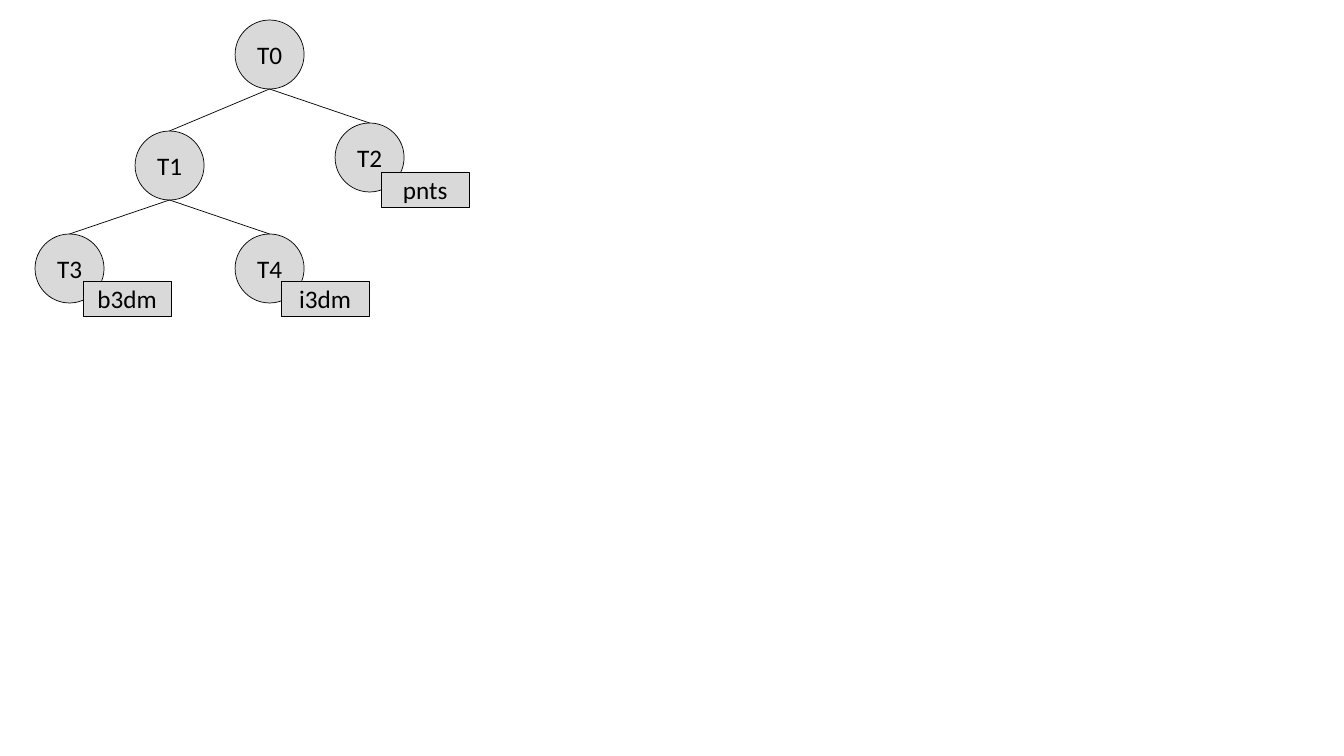
"""Build a slide with a tile tree whose leaves carry content format tags."""
from pptx import Presentation
from pptx import util as u
from pptx.dml.color import RGBColor
from pptx.enum import shapes, text
from pptx.oxml import xmlchemy

BLACK = RGBColor(0, 0, 0)
GRAY = RGBColor(0xD9, 0xD9, 0xD9)
FONT = "Calibri"
SCALE = u.Inches(1) / 100.8

TILES = {"T0": (2, 20), "T1": (1, 131), "T2": (3, 123), "T3": (0, 234), "T4": (2, 234)}
TAGS = {"b3dm": (83, 281), "i3dm": (281, 281), "pnts": (381, 172)}
BRANCHES = [("T0", "T1"), ("T0", "T2"), ("T1", "T3"), ("T1", "T4")]
LEFT, COLUMN_STEP, DIAMETER = 35, 100, 69
TAG_WIDTH, TAG_HEIGHT = 88, 35


def px(length):
    return u.Emu(round(length * SCALE))


def set_line(item):
    item.line.color.rgb = BLACK
    item.line.width = u.Pt(0.5)


def add_label(page, label, *, kind, left, top, width, height, size=18, color=BLACK):
    box = page.shapes.add_shape(kind, px(left), px(top), px(width), px(height))
    box.shadow.inherit = False
    box.fill.solid()
    box.fill.fore_color.rgb = GRAY
    set_line(box)
    frame = box.text_frame
    frame.word_wrap = False
    frame.margin_left = frame.margin_right = frame.margin_top = frame.margin_bottom = 0
    frame.vertical_anchor = text.MSO_ANCHOR.MIDDLE
    para = frame.paragraphs[0]
    para.alignment = text.PP_ALIGN.CENTER
    span = para.add_run()
    span.text = label
    span.font.name, span.font.size, span.font.color.rgb = FONT, u.Pt(size), color
    return box


def add_branch(page, parent, child):
    branch = page.shapes.add_connector(
        shapes.MSO_CONNECTOR.STRAIGHT,
        parent.left + parent.width // 2, parent.top + parent.height,
        child.left + child.width // 2, child.top)
    set_line(branch)
    properties = branch._element.spPr
    properties.append(xmlchemy.OxmlElement("a:effectLst"))


deck = Presentation()
deck.slide_width, deck.slide_height = u.Inches(13.33), u.Inches(7.5)
page = deck.slides.add_slide(deck.slide_layouts[6])

tiles = {
    name: add_label(page, name, kind=shapes.MSO_SHAPE.OVAL, left=LEFT + column * COLUMN_STEP,
                    top=top, width=DIAMETER, height=DIAMETER)
    for name, (column, top) in TILES.items()
}
for name, (left, top) in TAGS.items():
    add_label(page, name, kind=shapes.MSO_SHAPE.RECTANGLE, left=left, top=top,
              width=TAG_WIDTH, height=TAG_HEIGHT)
for parent, child in BRANCHES:
    add_branch(page, tiles[parent], tiles[child])

deck.save("out.pptx")
